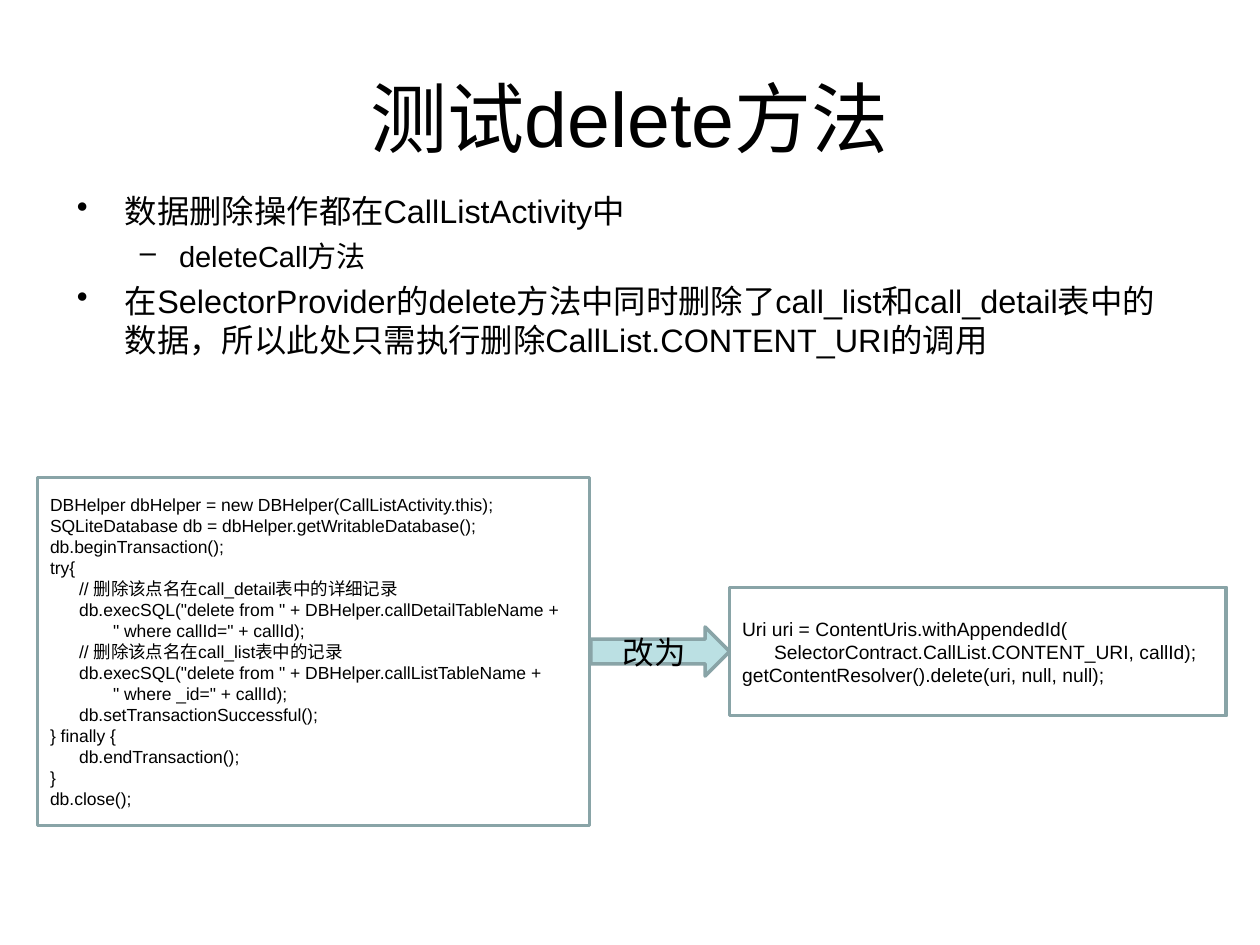
import dataclasses

import lxml.etree
import pptx
import pptx.dml.color
import pptx.enum.shapes
import pptx.enum.text
import pptx.oxml.ns
import pptx.util

Cm = pptx.util.Cm
Pt = pptx.util.Pt
RGB = pptx.dml.color.RGBColor
Align = pptx.enum.text.PP_ALIGN
Anchor = pptx.enum.text.MSO_ANCHOR
Kind = pptx.enum.shapes.MSO_SHAPE


@dataclasses.dataclass(frozen=True)
class Theme:
    font: str = "Arial"
    ink: RGB = RGB(0x00, 0x00, 0x00)
    edge: RGB = RGB(0x89, 0xA4, 0xA7)
    fill: RGB = RGB(0xBB, 0xE0, 0xE3)
    line: float = 2
    title: float = 44
    points: tuple = (18.5, 16.6)
    label: float = 18
    old: float = 10
    new: float = 11


THEME = Theme()

# One entry per outline level: mark, left margin, hanging indent, space before
LEVELS = (("•", 0.97, -0.97, 5), ("–", 2.06, -0.79, 4.5))

POINTS = (
    (0, "数据删除操作都在CallListActivity中"),
    (1, "deleteCall方法"),
    (0, "在SelectorProvider的delete方法中同时删除了call_list和call_detail表中的数据，"
        "所以此处只需执行删除CallList.CONTENT_URI的调用"),
)

OLD = """DBHelper dbHelper = new DBHelper(CallListActivity.this);
SQLiteDatabase db = dbHelper.getWritableDatabase();
db.beginTransaction();
try{
      // 删除该点名在call_detail表中的详细记录
      db.execSQL("delete from " + DBHelper.callDetailTableName +
\t" where callId=" + callId);
      // 删除该点名在call_list表中的记录
      db.execSQL("delete from " + DBHelper.callListTableName +
\t" where _id=" + callId);
      db.setTransactionSuccessful();
} finally {
      db.endTransaction();
}
db.close();"""

NEW = """Uri uri = ContentUris.withAppendedId(
      SelectorContract.CallList.CONTENT_URI, callId);
getContentResolver().delete(uri, null, null);"""


def put(item, **vals):
    for name, val in vals.items():
        setattr(item, name, val)


def place(shape, box):
    names = ("left", "top", "width", "height")
    put(shape, **dict(zip(names, map(Cm, box))))


def write(para, text, size):
    run = para.add_run()
    run.text = text
    put(run.font, name=THEME.font, size=Pt(size))
    run.font.color.rgb = THEME.ink


def paras(frame, count):
    """Return the first paragraph and as many new ones as are needed."""
    return [frame.paragraphs[0]] + [frame.add_paragraph() for _ in range(count - 1)]


def mark(para, level):
    """Give the paragraph the bullet and indents of its level."""
    sign, left, hang, _ = LEVELS[level]
    props = para._p.get_or_add_pPr()
    props.set("marL", str(Cm(left)))
    props.set("indent", str(Cm(hang)))
    tag = pptx.oxml.ns.qn("a:buChar")
    lxml.etree.SubElement(props, tag).set("char", sign)


def title(slide, box):
    shape = slide.shapes.title
    place(shape, box)
    frame = shape.text_frame
    put(frame, vertical_anchor=Anchor.MIDDLE, word_wrap=True)
    para = frame.paragraphs[0]
    para.alignment = Align.CENTER
    write(para, "测试delete方法", THEME.title)


def points(slide, box):
    frame = slide.shapes.add_textbox(*map(Cm, box)).text_frame
    frame.word_wrap = True
    rows = paras(frame, len(POINTS))
    for num, (para, (level, text)) in enumerate(zip(rows, POINTS)):
        para.level = level
        if num:
            para.space_before = Pt(LEVELS[level][3])
        mark(para, level)
        write(para, text, THEME.points[level])


def block(slide, kind, box, text, size, align=Align.LEFT, fill=None):
    """Add an outlined shape with one paragraph per line of text."""
    shape = slide.shapes.add_shape(kind, *map(Cm, box))
    shape.shadow.inherit = False
    if fill is None:
        shape.fill.background()
    else:
        shape.fill.solid()
        shape.fill.fore_color.rgb = fill
    shape.line.color.rgb = THEME.edge
    shape.line.width = Pt(THEME.line)
    frame = shape.text_frame
    put(frame, vertical_anchor=Anchor.MIDDLE, word_wrap=True)
    lines = text.split("\n")
    for para, line in zip(paras(frame, len(lines)), lines):
        para.alignment = align
        write(para, line, size)


def change(slide, box):
    """Old code, arrow and new code in a row, centred on one axis."""
    left, top, width, height = box
    old, new, gap = 11.13, 10.01, 0.02
    arrow = width - old - new - gap

    def cell(start, wide, tall):
        return left + start, top + (height - tall) / 2, wide, tall

    block(slide, Kind.RECTANGLE, cell(width - new, new, 2.59), NEW, THEME.new)
    block(slide, Kind.RECTANGLE, cell(0, old, height), OLD, THEME.old)
    block(slide, Kind.RIGHT_ARROW, cell(old + gap, arrow, 0.99), "改为",
          THEME.label, Align.CENTER, THEME.fill)


def main():
    deck = pptx.Presentation()
    put(deck, slide_width=Cm(25.4), slide_height=Cm(19.05))
    slide = deck.slides.add_slide(deck.slide_layouts[5])
    title(slide, (1.27, 0.76, 22.86, 3.18))
    points(slide, (1.3, 3.73, 22.86, 4.6))
    change(slide, (0.76, 9.63, 23.96, 7.01))
    deck.save("out.pptx")


if __name__ == "__main__":
    main()
